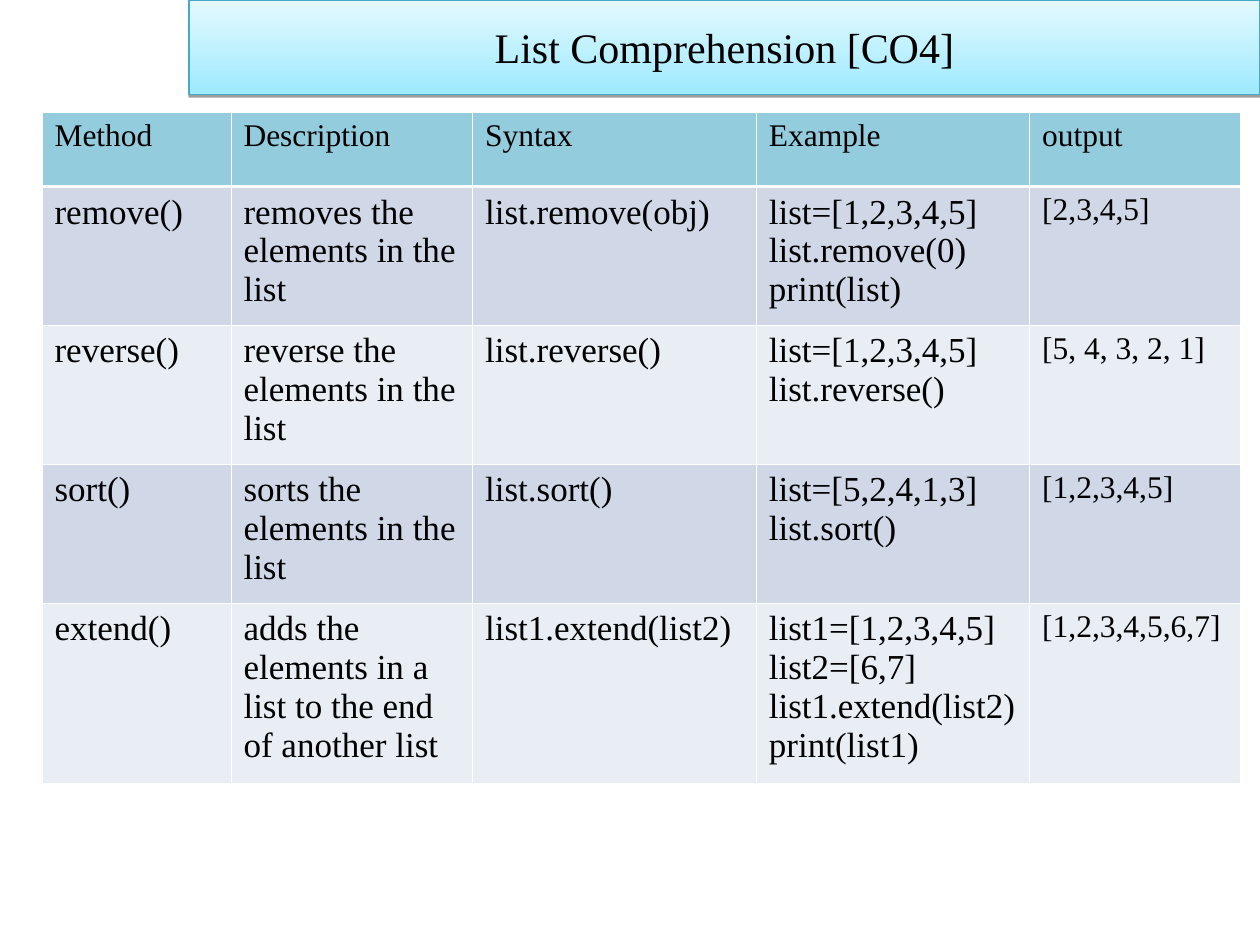
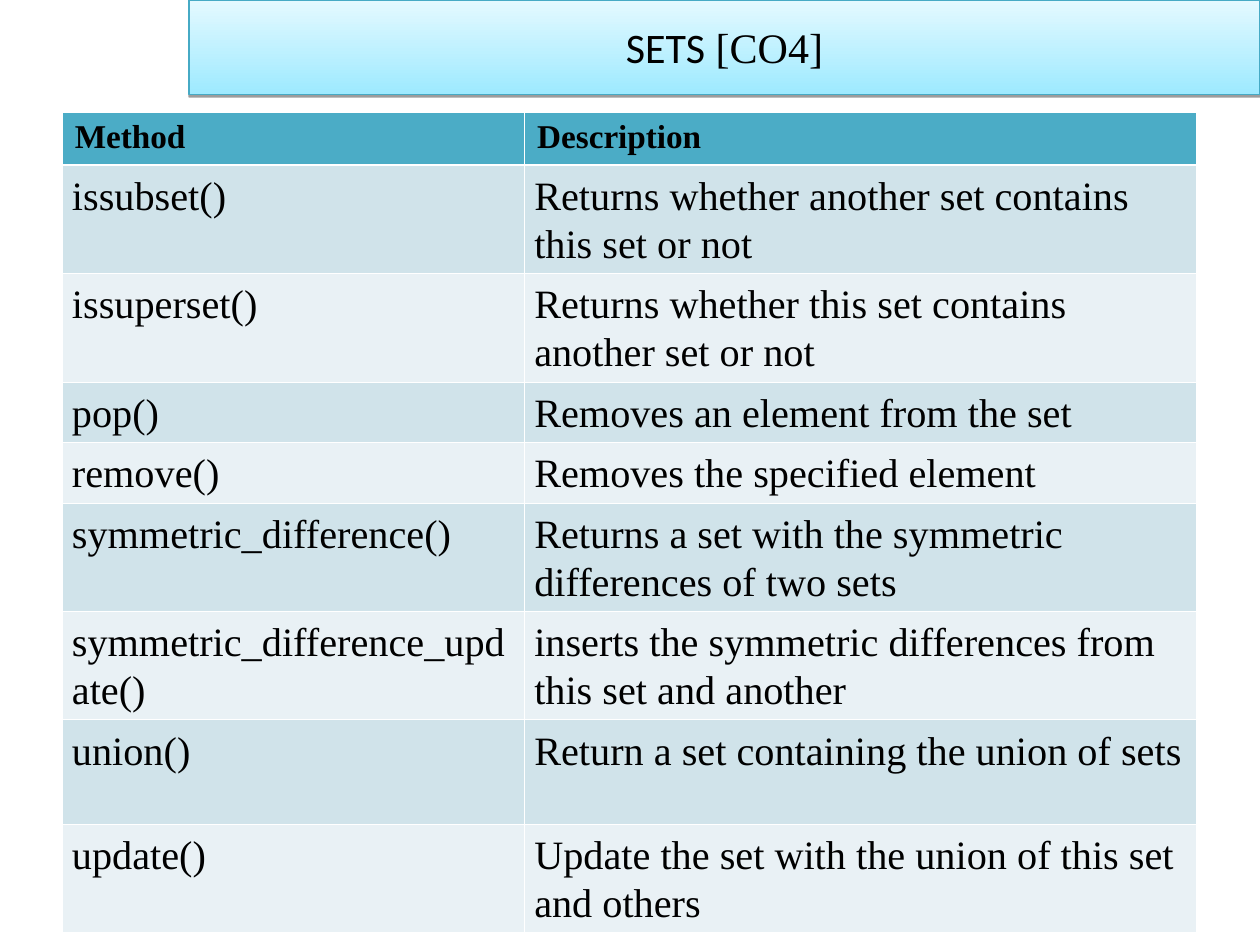
"""Builds two slides on Python list and set methods, each a title band over a table."""
from lxml.etree import SubElement
from pptx import Presentation
from pptx.dml.color import RGBColor
from pptx.enum.text import MSO_ANCHOR, MSO_AUTO_SIZE, PP_ALIGN
from pptx.oxml.ns import qn
from pptx.util import Cm, Pt

BLACK = RGBColor(0x00, 0x00, 0x00)
WHITE = RGBColor(0xFF, 0xFF, 0xFF)
BAND_BOTTOM = RGBColor(0x9E, 0xEA, 0xFF)
BAND_TOP = RGBColor(0xE4, 0xF9, 0xFF)
BAND_EDGE = RGBColor(0x46, 0xAA, 0xC5)
LIST_HEADER = RGBColor(0x93, 0xCD, 0xDD)
LIST_STRIPES = (RGBColor(0xD0, 0xD8, 0xE8), RGBColor(0xE9, 0xED, 0xF4))
SET_HEADER = RGBColor(0x4B, 0xAC, 0xC6)
SET_STRIPES = (RGBColor(0xD0, 0xE3, 0xEA), RGBColor(0xE9, 0xF1, 0xF5))

SERIF = "Times New Roman"
SANS = "Calibri"

LIST_METHODS = [
    ("Method", "Description", "Syntax", "Example", "output"),
    ("remove()", "removes the elements in the list", "list.remove(obj)",
     "list=[1,2,3,4,5]\nlist.remove(0)\nprint(list)", "[2,3,4,5]"),
    ("reverse()", "reverse the elements in the list", "list.reverse()",
     "list=[1,2,3,4,5]\nlist.reverse()", "[5, 4, 3, 2, 1]"),
    ("sort()", "sorts the elements in the list", "list.sort()",
     "list=[5,2,4,1,3]\nlist.sort()", "[1,2,3,4,5]"),
    ("extend()", "adds the elements in a list to the end of another list",
     "list1.extend(list2)",
     "list1=[1,2,3,4,5]\nlist2=[6,7]\nlist1.extend(list2)\nprint(list1)",
     "[1,2,3,4,5,6,7]"),
]

SET_METHODS = [
    ("Method", "Description"),
    ("issubset()", "Returns whether another set contains this set or not"),
    ("issuperset()", "Returns whether this set contains another set or not"),
    ("pop()", "Removes an element from the set"),
    ("remove()", "Removes the specified element"),
    ("symmetric_difference()",
     "Returns a set with the symmetric differences of two sets"),
    ("symmetric_difference_update()",
     "inserts the symmetric differences from this set and another"),
    ("union()", "Return a set containing the union of sets"),
    ("update()", "Update the set with the union of this set and others"),
]


class Deck:
    """Holds the shared style and the slide being filled."""

    def __init__(self):
        self.presentation = Presentation()
        self.presentation.slide_width = Cm(25.4)
        self.presentation.slide_height = Cm(19.05)
        self.slide = None

    def new_slide(self, *title_parts):
        """Adds a slide whose title band joins (text, font) parts."""
        title_only = self.presentation.slide_layouts[5]
        self.slide = self.presentation.slides.add_slide(title_only)
        band = self.slide.shapes.title
        band.left, band.top, band.width, band.height = Cm(3.81), 0, Cm(21.59), Cm(1.9)
        band.fill.gradient()
        band.fill.gradient_angle = 90
        for stop, color in zip(band.fill.gradient_stops, (BAND_BOTTOM, BAND_TOP)):
            stop.color.rgb = color
        band.line.color.rgb = BAND_EDGE
        band.line.width = Pt(0.75)
        self.drop_shadow(band)

        frame = band.text_frame
        frame.auto_size = MSO_AUTO_SIZE.NONE
        frame.vertical_anchor = MSO_ANCHOR.MIDDLE
        heading = frame.paragraphs[0]
        heading.alignment = PP_ALIGN.CENTER
        for text, font_name in title_parts:
            run = heading.add_run()
            run.text = text
            self.style_font(run.font, 24, font_name)

    def style_font(self, font, size, name=SERIF, bold=False):
        """Applies the common text look."""
        font.name = name
        font.size = Pt(size)
        font.bold = bold
        font.color.rgb = BLACK

    def drop_shadow(self, shape):
        """Adds a soft grey edge straight below a shape."""
        effects = SubElement(shape._element.spPr, qn("a:effectLst"))
        shadow = SubElement(effects, qn("a:outerShdw"), blurRad="0",
                            dist=str(Pt(1.6)), dir="5400000", rotWithShape="0")
        color = SubElement(shadow, qn("a:srgbClr"), val=str(BLACK))
        SubElement(color, qn("a:alpha"), val="38000")

    def cell_borders(self, cell, top, bottom):
        """Draws white cell borders; top and bottom widths are in points."""
        properties = cell._tc.get_or_add_tcPr()
        for side, width in (("L", 0.45), ("R", 0.45), ("T", top), ("B", bottom)):
            line = SubElement(properties, qn(f"a:ln{side}"), w=str(Pt(width)))
            fill = SubElement(line, qn("a:solidFill"))
            SubElement(fill, qn("a:srgbClr"), val=str(WHITE))

    def table(self, rows, left, widths, heights, header, stripes, header_size,
              sizes, header_bold=False, side_margin=0.25, spacing=None):
        """Adds a striped table; lengths are in centimetres, sizes go by column."""
        grid = self.slide.shapes.add_table(
            len(rows), len(widths), Cm(left), Cm(2.26),
            Cm(sum(widths)), Cm(sum(heights))).table
        grid.horz_banding = False
        for column, width in zip(grid.columns, widths):
            column.width = Cm(width)
        for index, (values, height) in enumerate(zip(rows, heights)):
            grid.rows[index].height = Cm(height)
            is_header = index == 0
            for column, text in enumerate(values):
                cell = grid.cell(index, column)
                self.cell_borders(cell, top=1.47 if index == 1 else 0.45,
                                  bottom=1.47 if is_header else 0.45)
                cell.fill.solid()
                cell.fill.fore_color.rgb = header if is_header else stripes[(index - 1) % 2]
                cell.margin_left = cell.margin_right = Cm(0.25 if is_header else side_margin)
                cell.text_frame.text = text
                for paragraph in cell.text_frame.paragraphs:
                    if spacing and not is_header:
                        paragraph.line_spacing = spacing
                    for run in paragraph.runs:
                        self.style_font(run.font,
                                        header_size if is_header else sizes[column],
                                        bold=is_header and header_bold)


def main():
    deck = Deck()

    deck.new_slide(("List Comprehension [CO4]", SERIF))
    deck.table(LIST_METHODS, 0.85, widths=[3.81, 4.87, 5.72, 5.51, 4.24],
               heights=[1.5, 2.8, 2.8, 2.8, 3.63], header=LIST_HEADER,
               stripes=LIST_STRIPES, header_size=18, sizes=[20, 20, 20, 20, 18])

    deck.new_slide(("SETS", SANS), (" [CO4]", SERIF))
    deck.table(SET_METHODS, 1.26, widths=[9.32, 13.54],
               heights=[1.07] + [2.1] * 2 + [1.04] * 2 + [2.1] * 4,
               header=SET_HEADER, stripes=SET_STRIPES, header_size=19,
               sizes=[23, 23], header_bold=True, side_margin=0.19, spacing=1.07)

    deck.presentation.save("out.pptx")


if __name__ == "__main__":
    main()
